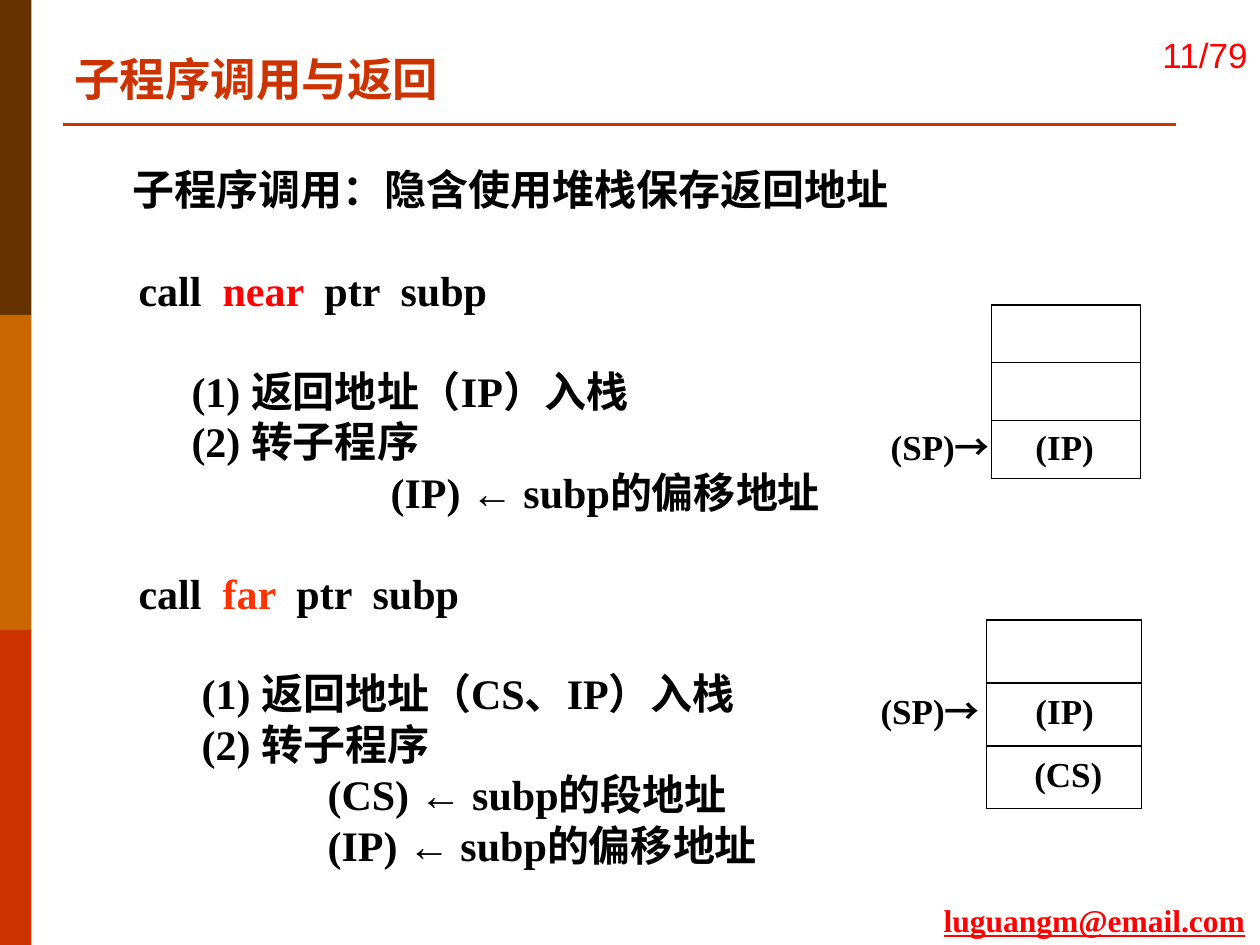
from lxml import etree
from pptx import Presentation
from pptx.dml.color import RGBColor
from pptx.enum.shapes import MSO_CONNECTOR, MSO_SHAPE
from pptx.enum.text import MSO_ANCHOR, MSO_AUTO_SIZE, PP_ALIGN
from pptx.oxml.ns import qn
from pptx.util import Inches, Pt

RECTANGLE = MSO_SHAPE.RECTANGLE
STRAIGHT = MSO_CONNECTOR.STRAIGHT
TOP, MIDDLE = MSO_ANCHOR.TOP, MSO_ANCHOR.MIDDLE
LEFT, RIGHT = PP_ALIGN.LEFT, PP_ALIGN.RIGHT
NO_FIT = MSO_AUTO_SIZE.NONE

COLORS = {
    "brown": "663300",
    "orange": "CC6600",
    "rust": "CC3300",
    "red": "FF0000",
    "scarlet": "FF3300",
    "black": "000000",
}
SERIF, SANS, CHINESE = "Times New Roman", "Arial", "Noto Sans CJK SC"


def color(name):
    return RGBColor.from_string(COLORS[name])


def write(para, spans, size=24, tint="black", font=SERIF, bold=True,
          underline=False, align=LEFT, indent=0, before=0):
    para.alignment = align
    para.line_spacing = Pt(size * 1.2)
    para.space_before = Pt(before)
    para.space_after = Pt(0)
    properties = para._p.get_or_add_pPr()
    properties.set("marL", str(Inches(indent)))
    properties.set("indent", "0")
    etree.SubElement(properties, qn("a:buNone"))
    for text, changes in spans:
        span = para.add_run()
        span.text = text
        span.font.size = Pt(size)
        span.font.bold = bold
        span.font.underline = underline
        span.font.name = changes.get("font", font)
        span.font.color.rgb = color(changes.get("tint", tint))
        east_asian = etree.SubElement(span._r.get_or_add_rPr(), qn("a:ea"))
        east_asian.set("typeface", CHINESE)


deck = Presentation()
deck.slide_width, deck.slide_height = Inches(10), Inches(7.5)
page = deck.slides.add_slide(deck.slide_layouts[1])

for index, name in enumerate(["brown", "orange", "rust"]):
    band = page.shapes.add_shape(
        RECTANGLE, 0, Inches(2.5 * index), Inches(0.25), Inches(2.5))
    band.shadow.inherit = False
    band.fill.solid()
    band.fill.fore_color.rgb = color(name)
    band.line.fill.background()

rule = page.shapes.add_connector(
    STRAIGHT, Inches(0.5), Inches(0.99), Inches(9.33), Inches(0.99))
rule.line.color.rgb = color("rust")
rule.line.width = Pt(1.5)
etree.SubElement(rule._element.spPr, qn("a:effectLst"))

title = page.shapes.title
title.left, title.top = Inches(0.49), Inches(0.35)
title.width, title.height = Inches(6.99), Inches(0.54)
title.text_frame.auto_size = NO_FIT
title.text_frame.vertical_anchor = MIDDLE
write(title.text_frame.paragraphs[0], [("子程序调用与返回", {})], size=26, tint="rust")

number = page.shapes.add_textbox(
    Inches(8.78), Inches(0.01), Inches(1.22), Inches(0.84))
number.text_frame.word_wrap = True
number.text_frame.vertical_anchor = MIDDLE
write(number.text_frame.paragraphs[0], [("11/79", {})],
      size=20, tint="red", font=SANS, bold=False, align=RIGHT)

email = page.shapes.add_textbox(
    Inches(7.39), Inches(7.1), Inches(2.61), Inches(0.4))
email.text_frame.word_wrap = False
write(email.text_frame.paragraphs[0], [("luguangm@email.com", {})],
      size=18, tint="red", underline=True)

GAP = 28.8
LINES = [
    (0.45, 0, [("子程序调用：隐含使用堆栈保存返回地址", {})]),
    (0.5, GAP, [("call  ", {}), ("near  ", {"tint": "red"}), ("ptr  subp", {})]),
    (0.92, GAP, [("(1) 返回地址（IP）入栈", {})]),
    (0.92, 0, [("(2) 转子程序", {})]),
    (2.5, 0, [("(IP) ← subp的偏移地址", {})]),
    (0.5, GAP, [("call  ", {}), ("far  ", {"tint": "scarlet"}), ("ptr  subp", {})]),
    (1, GAP, [("(1) 返回地址（CS、IP）入栈", {})]),
    (1, 0, [("(2) 转子程序", {})]),
    (2, 0, [("(CS) ← subp的段地址", {})]),
    (2, 0, [("(IP) ← subp的偏移地址", {})]),
]
body = page.placeholders[1]
body.left, body.top = Inches(0.5), Inches(1.25)
body.width, body.height = Inches(9), Inches(5.76)
body.text_frame.auto_size = NO_FIT
body.text_frame.vertical_anchor = TOP
for index, (indent, before, spans) in enumerate(LINES):
    para = body.text_frame.add_paragraph() if index else body.text_frame.paragraphs[0]
    write(para, spans, indent=indent, before=before)

POINTER = [("(SP)", {}), ("→", {"font": CHINESE})]
IP, CS = [("(IP)", {})], [("(CS)", {})]
STACKS = [
    (7.87, 2.42, 1.18, 0.46,
     [(8.06, 3.33, 0.79, 0.93, 0.06, IP), (6.97, 3.33, 1.58, 0.93, 0, POINTER)]),
    (7.83, 4.92, 1.23, 0.5,
     [(8.06, 5.42, 0.82, 1, 0.06, IP), (6.89, 5.42, 1.64, 1, 0, POINTER),
      (7.97, 5.92, 1.08, 1, 0.14, CS)]),
]
for left, top, width, height, labels in STACKS:
    stack = page.shapes.add_group_shape()
    for row in range(3):
        cell = stack.shapes.add_shape(
            RECTANGLE, Inches(left), Inches(top + row * height),
            Inches(width), Inches(height))
        cell.shadow.inherit = False
        cell.fill.background()
        cell.line.color.rgb = color("black")
        cell.line.width = Pt(0.75)
    for x, y, box_width, box_height, indent, spans in labels:
        box = stack.shapes.add_textbox(
            Inches(x), Inches(y), Inches(box_width), Inches(box_height))
        box.text_frame.word_wrap = True
        write(box.text_frame.paragraphs[0], spans, size=20, indent=indent)

deck.save("out.pptx")
